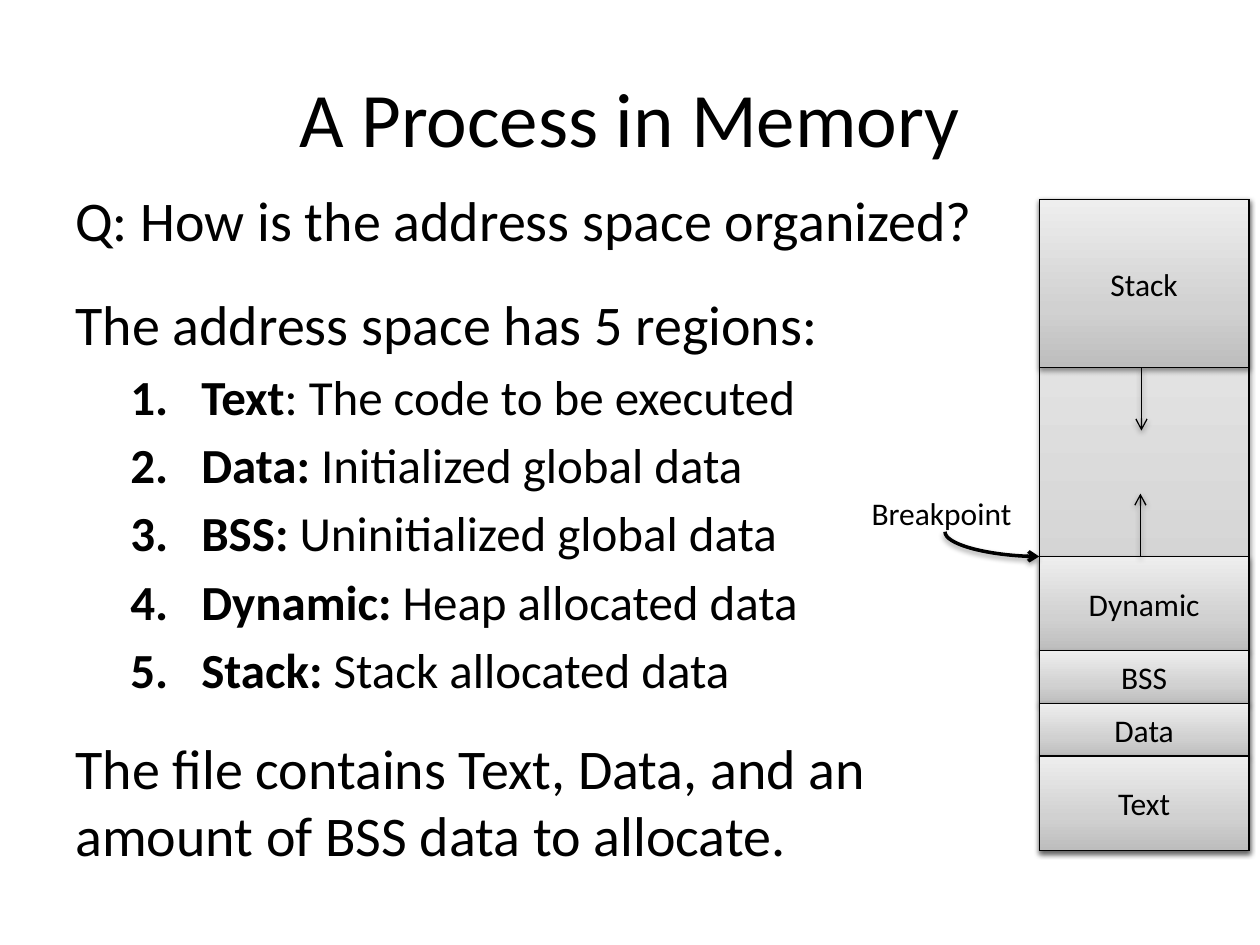
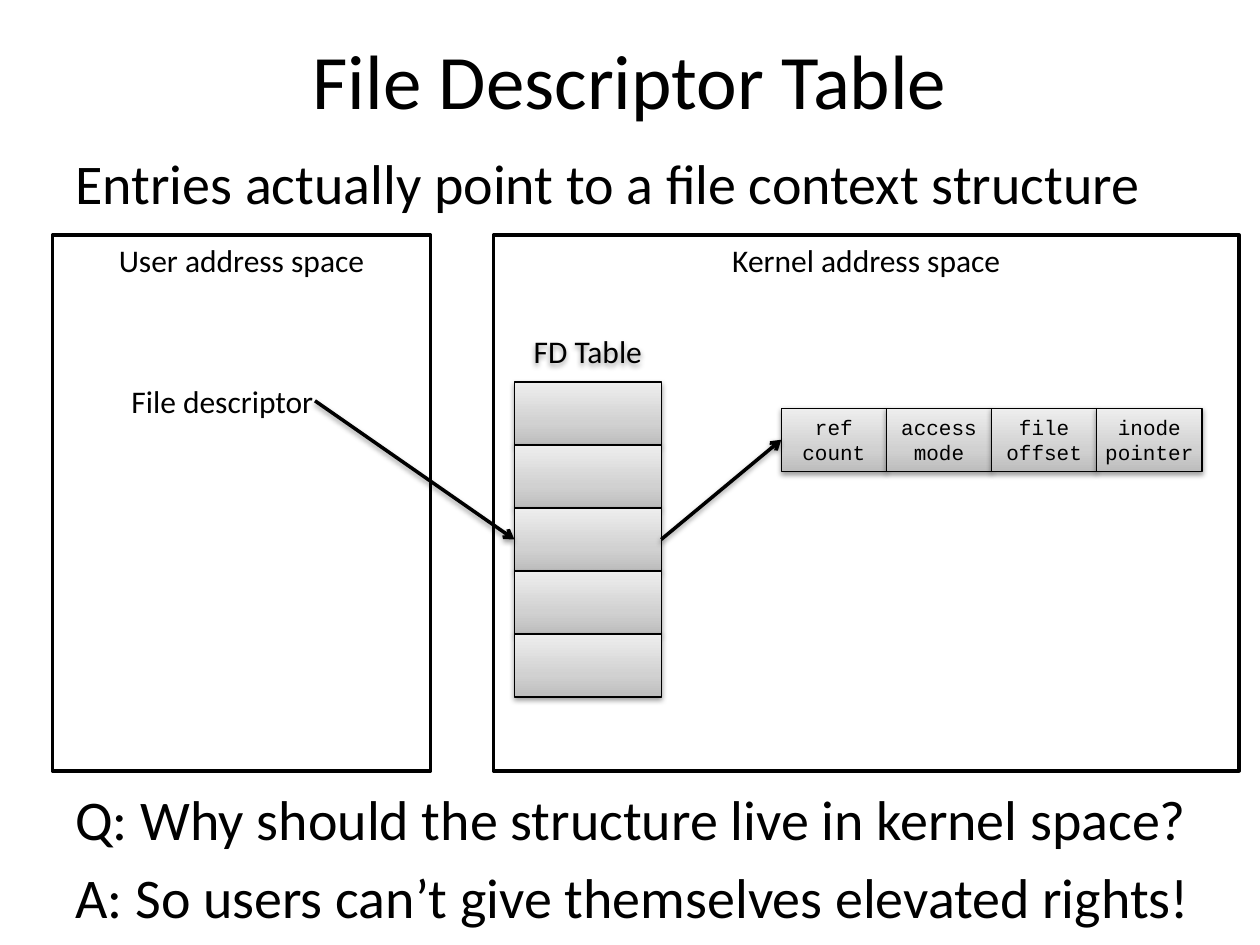
import copy

import pptx
import pptx.dml.color
import pptx.enum.shapes
import pptx.enum.text
import pptx.oxml
import pptx.oxml.ns
import pptx.util

Cm, Pt = pptx.util.Cm, pptx.util.Pt
rgb = pptx.dml.color.RGBColor.from_string
qn = pptx.oxml.ns.qn
PP_ALIGN = pptx.enum.text.PP_ALIGN
ANCHOR = pptx.enum.text.MSO_ANCHOR
CONNECTOR = pptx.enum.shapes.MSO_CONNECTOR

# Shared look
BLACK, WHITE = "000000", "FFFFFF"
NS = 'xmlns:a="http://schemas.openxmlformats.org/drawingml/2006/main"'
STOPS = "".join(
    f'<a:gs pos="{pos}000"><a:srgbClr val="{color}"/></a:gs>'
    for pos, color in [(0, "BDBDBD"), (35, "D1D1D1"), (100, "EEEEEE")])
GRADIENT = (f'<a:gradFill {NS} rotWithShape="1"><a:gsLst>{STOPS}</a:gsLst>'
            '<a:lin ang="16200000" scaled="0"/></a:gradFill>')
SHADOW = (f'<a:effectLst {NS}><a:outerShdw blurRad="40000" dist="20000" '
          'dir="5400000" rotWithShape="0"><a:srgbClr val="000000">'
          '<a:alpha val="38000"/></a:srgbClr></a:outerShdw></a:effectLst>')

TITLE = {"size": 44, "align": PP_ALIGN.CENTER, "anchor": ANCHOR.MIDDLE}
BODY = {"size": 32}
LABEL = {"inset": 0}
FRAME = {"fill": WHITE, "line": 2, "align": PP_ALIGN.CENTER}
BLOCK = {"fill": "gradient", "line": 0.75, "shadow": True,
         "align": PP_ALIGN.CENTER, "anchor": ANCHOR.MIDDLE}
CAPTION = {"shadow": True, "align": PP_ALIGN.CENTER, "anchor": ANCHOR.MIDDLE}
FIELD = {**BLOCK, "size": 12, "font": "Courier New", "inset": 0}


def add_box(s, text, x, y, w, h, size=18, font="Calibri", align=PP_ALIGN.LEFT,
            anchor=ANCHOR.TOP, inset=None, fill=None, line=None, shadow=False):
    at = Cm(x), Cm(y), Cm(w), Cm(h)
    if fill:
        sp = s.shapes.add_shape(pptx.enum.shapes.MSO_SHAPE.RECTANGLE, *at)
        sp.shadow.inherit = False
        sp.line.color.rgb = rgb(BLACK)
        sp.line.width = Pt(line)
    else:
        sp = s.shapes.add_textbox(*at)
    spPr = sp._element.spPr
    if fill == "gradient":
        spPr.insert(2, pptx.oxml.parse_xml(GRADIENT))
    elif fill:
        sp.fill.solid()
        sp.fill.fore_color.rgb = rgb(fill)
    if shadow:
        for old in spPr.findall(qn("a:effectLst")):
            spPr.remove(old)
        spPr.append(pptx.oxml.parse_xml(SHADOW))
    tf = sp.text_frame
    frame = {"word_wrap": True, "vertical_anchor": anchor}
    if inset is not None:
        for side in ("left", "top", "right", "bottom"):
            frame[f"margin_{side}"] = Cm(inset)
    for name, value in frame.items():
        setattr(tf, name, value)
    tf.text = text
    for p in tf.paragraphs:
        p.alignment = align
        for r in p.runs:
            for name, value in {"size": Pt(size), "name": font}.items():
                setattr(r.font, name, value)
            r.font.color.rgb = rgb(BLACK)
    return sp


def add_arrow(s, x1, y1, x2, y2, width, kind=CONNECTOR.STRAIGHT):
    cx = s.shapes.add_connector(kind, Cm(x1), Cm(y1), Cm(x2), Cm(y2))
    cx.line.color.rgb = rgb(BLACK)
    cx.line.width = Pt(width)
    cx.line._get_or_add_ln().append(
        pptx.oxml.parse_xml(f'<a:tailEnd {NS} type="arrow"/>'))
    cx._element.spPr.append(pptx.oxml.parse_xml(SHADOW))
    return cx


prs = pptx.Presentation()
prs.slide_width, prs.slide_height = Cm(25.4), Cm(19.05)
blank = prs.slide_layouts[6]

# Slide 1: address space
s = prs.slides.add_slide(blank)
add_box(s, "A Process in Memory", 1.27, 0.76, 22.86, 3.18, **TITLE)
lines = [
    "Q: How is the address space organized?",
    "The address space has 5 regions:",
    "Text|: The code to be executed",
    "Data:| Initialized global data",
    "BSS:| Uninitialized global data",
    "Dynamic:| Heap allocated data",
    "Stack:| Stack allocated data",
    "The file contains Text, Data, and an amount of BSS data to allocate.",
]
gaps = [0, 21] + [5.5] * 5 + [20]
sp = add_box(s, "\n".join(lines), 1.27, 3.61, 18.85, 14.6, **BODY)
for p, gap in zip(sp.text_frame.paragraphs, gaps):
    p.space_before = Pt(gap)
    r = p.runs[0]
    if "|" not in r.text:
        continue
    # Numbered region: bold name, plain description
    p.level = 1
    pPr = p._p.get_or_add_pPr()
    pPr.set("marL", str(Cm(2.54)))
    pPr.set("indent", str(Cm(-1.43)))
    pPr.append(pptx.oxml.parse_xml(
        f'<a:buFont {NS} typeface="+mj-lt"/>'))
    pPr.append(pptx.oxml.parse_xml(
        f'<a:buAutoNum {NS} type="arabicPeriod"/>'))
    r.font.size = Pt(28)
    p._p.append(copy.deepcopy(r._r))
    for r, part, bold in zip(p.runs, r.text.split("|"), (True, False)):
        r.text, r.font.bold = part, bold

# Memory column: whole space, stack on top, the rest from the break down
left, top, width, height = 20.95, 4.02, 4.23, 13.12
stack_h, heap_top = 3.39, 11.22
add_box(s, "", left, top, width, height, **BLOCK)
add_box(s, "Stack", left, top, width, stack_h, **BLOCK)
y = heap_top
for name, h in [("Dynamic", 1.9), ("BSS", 1.06), ("Data", 1.06), ("Text", 1.9)]:
    add_box(s, name, left, y, width, h, **BLOCK)
    y += h

# Growth arrows
stack_end = top + stack_h
add_arrow(s, 23.01, stack_end, 23.01, stack_end + 1.27, 0.75)
add_arrow(s, 22.99, heap_top, 22.99, heap_top - 1.27, 0.75)

# Breakpoint: a quarter curve, drawn on its side and turned
add_box(s, "Breakpoint", 17.57, 9.95, 2.98, 0.77, **LABEL)
x1, y1 = 19.05, 10.72
mid_x, mid_y = (x1 + left) / 2, (y1 + heap_top) / 2
dx, dy = (heap_top - y1) / 2, (left - x1) / 2
cx = add_arrow(s, mid_x + dx, mid_y - dy, mid_x - dx, mid_y + dy, 2,
               CONNECTOR.CURVE)
cx._element.spPr.find(qn("a:xfrm")).set("rot", "16200000")
cx._element.spPr.find(qn("a:prstGeom")).set("prst", "curvedConnector2")

# Slide 2: file descriptors
s = prs.slides.add_slide(blank)
add_box(s, "File Descriptor Table", 1.27, 0, 22.86, 3.18, **TITLE)
add_box(s, "Entries actually point to a file context structure",
        1.27, 2.86, 22.86, 2.1, **BODY)

# Address spaces
add_box(s, "Kernel address space", 9.95, 4.74, 15.03, 10.8, **FRAME)
add_box(s, "User address space", 1.06, 4.74, 7.62, 10.8, **FRAME)
add_box(s, "File descriptor", 2.65, 7.7, 3.75, 0.77, **LABEL)

# Table of descriptors
left, top, width, row = 10.37, 7.7, 2.96, 1.27
add_box(s, "FD Table", left, top - row, width, row, **CAPTION)
for i in range(5):
    add_box(s, "", left, top + i * row, width, row, **BLOCK)

# File context structure
fields_x, fields_y, field_w = 15.75, 8.23, 2.12
for i, text in enumerate(["ref\ncount", "access mode", "file offset",
                          "inode pointer"]):
    add_box(s, text, fields_x + i * field_w, fields_y, field_w, row, **FIELD)

# Pointers through the middle entry
entry_y = top + 2.5 * row
add_arrow(s, 6.35, 8.08, left, entry_y, 2)
add_arrow(s, left + width, entry_y, fields_x, fields_y + row / 2, 2)

# Question and answer
sp = add_box(s, "Q: Why should the structure live in kernel space?\n"
             "A: So users can\u2019t give themselves elevated rights!",
             1.27, 15.7, 23.7, 2.92, **BODY)
sp.text_frame.paragraphs[1].space_before = Pt(6)

prs.save("out.pptx")
